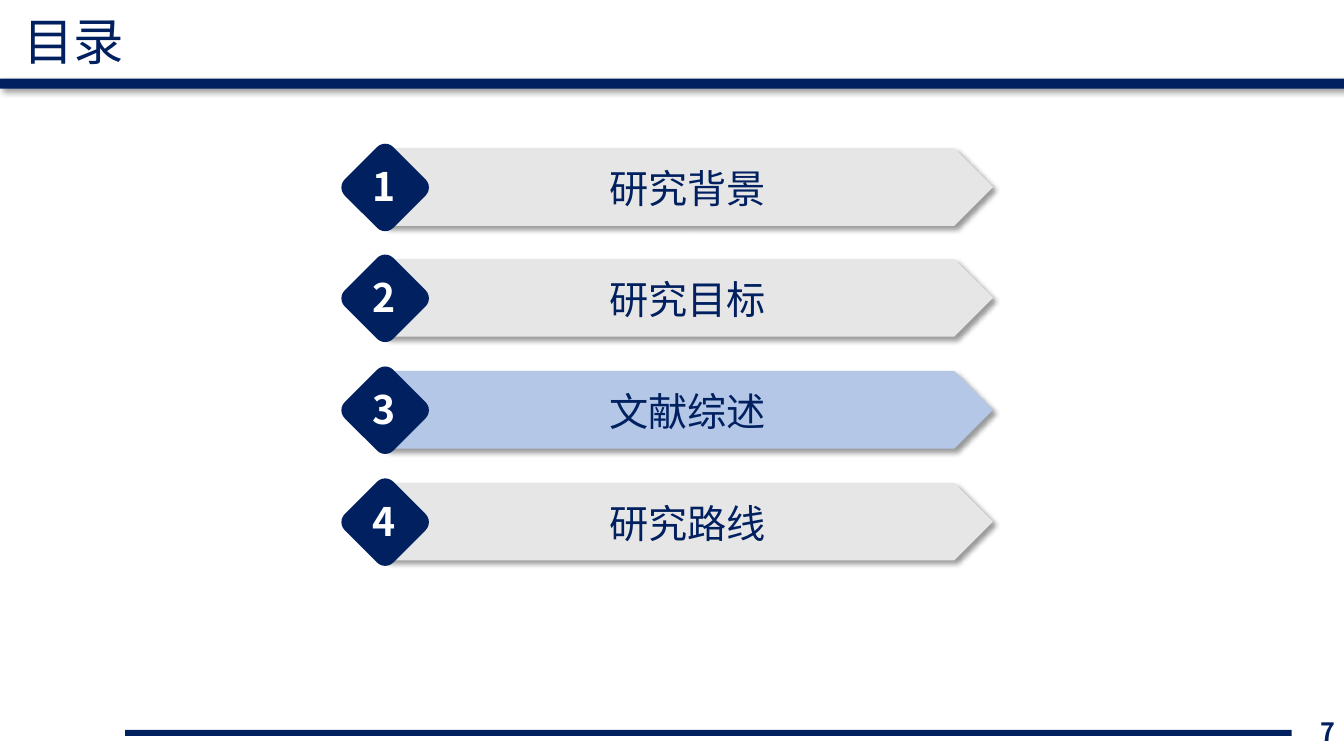
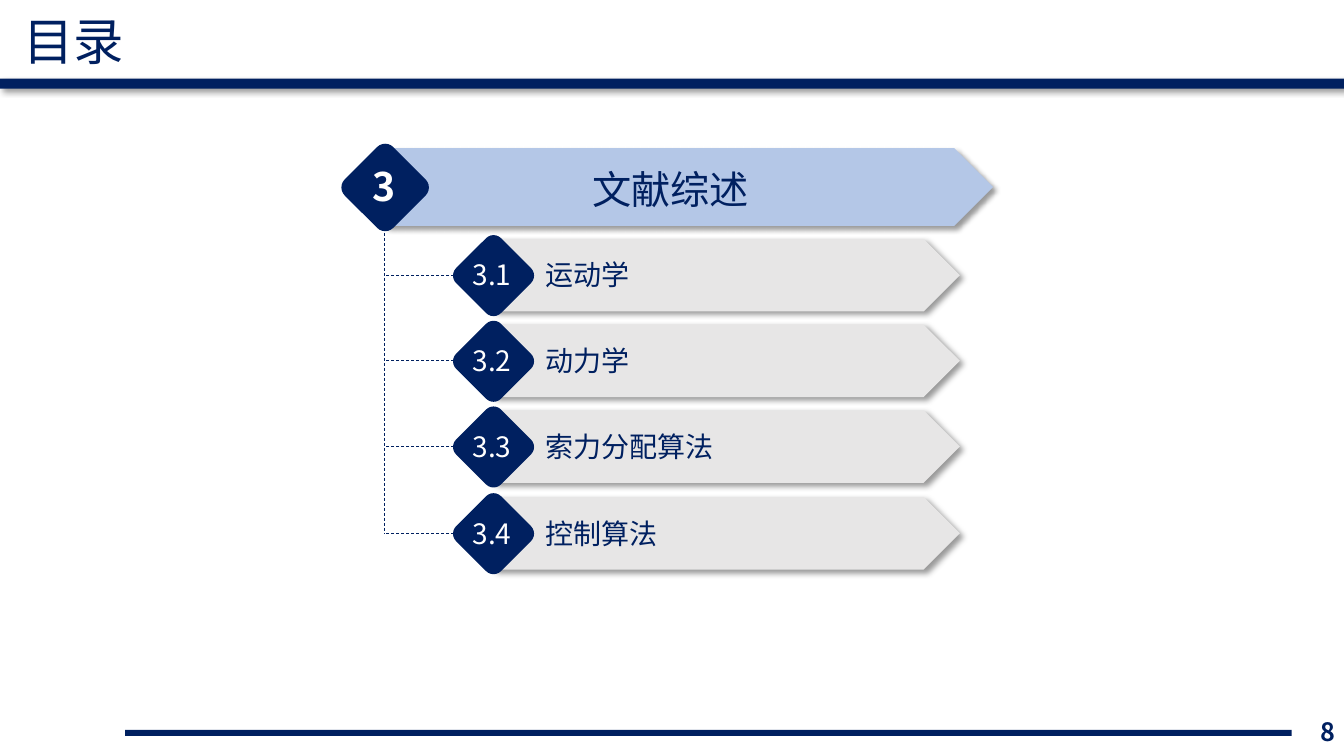
"""Build two contents slides: the chapter list and the sections of chapter 3."""
from dataclasses import dataclass
from typing import Optional

import pptx
import pptx.dml.color
import pptx.enum.dml
import pptx.enum.shapes
import pptx.enum.text
import pptx.oxml.ns
import pptx.util
from lxml import etree

RGBColor = pptx.dml.color.RGBColor
MSO_SHAPE = pptx.enum.shapes.MSO_SHAPE
PP_ALIGN = pptx.enum.text.PP_ALIGN
MSO_ANCHOR = pptx.enum.text.MSO_ANCHOR
qn = pptx.oxml.ns.qn

NAVY = RGBColor(0x00, 0x20, 0x60)
GREY = RGBColor(0xE7, 0xE6, 0xE6)
LIGHT_BLUE = RGBColor(0xB4, 0xC7, 0xE7)
WHITE = RGBColor(0xFF, 0xFF, 0xFF)
FONT = "Noto Sans CJK SC"
EMU_PER_PX = 9144
SLIDE_W, SLIDE_H = 1333, 750
SPINE_X = 381


@dataclass(frozen=True)
class Box:
    left: int
    top: int
    width: int
    height: int


@dataclass(frozen=True)
class RowStyle:
    arrow_left: int
    arrow_w: int
    arrow_h: int
    diamond_left: int
    diamond_size: int
    number_left: int
    number_w: int
    number_dy: int
    label_left: int
    label_w: int
    label_dy: int
    text_h: int
    size: int
    bold: bool
    align: PP_ALIGN


@dataclass(frozen=True)
class Row:
    number: str
    label: str
    fill: RGBColor = GREY


CHAPTER = RowStyle(382, 603, 77, 348, 68, 359, 44, 9, 439, 486, 11, 57, 28, True, PP_ALIGN.CENTER)
HEADER = RowStyle(382, 603, 77, 348, 68, 359, 44, 9, 439, 452, 12, 57, 28, True, PP_ALIGN.CENTER)
SECTION = RowStyle(490, 462, 72, 458, 63, 458, 60, 14, 531, 418, 14, 44, 20, False, PP_ALIGN.LEFT)

REVIEW = Row("3", "文献综述", LIGHT_BLUE)
CHAPTERS = [Row("1", "研究背景"), Row("2", "研究目标"), REVIEW, Row("4", "研究路线")]
SECTIONS = [Row("3.1", "运动学"), Row("3.2", "动力学"), Row("3.3", "索力分配算法"), Row("3.4", "控制算法")]
CHAPTER_TOPS = [147 + i * 332 // 3 for i in range(len(CHAPTERS))]
SECTION_TOPS = [237 + i * 256 // 3 for i in range(len(SECTIONS))]


def px(value: int) -> pptx.util.Emu:
    return pptx.util.Emu(value * EMU_PER_PX)


def emu(box: Box) -> tuple:
    return px(box.left), px(box.top), px(box.width), px(box.height)


def write(sp, text: str, size: int, color: RGBColor, bold: bool = False,
          align: PP_ALIGN = PP_ALIGN.LEFT, wrap: bool = True,
          anchor: MSO_ANCHOR = MSO_ANCHOR.TOP) -> None:
    tf = sp.text_frame
    tf.text = text
    tf.word_wrap = wrap
    tf.auto_size = pptx.enum.text.MSO_AUTO_SIZE.NONE
    tf.vertical_anchor = anchor
    p = tf.paragraphs[0]
    p.alignment = align
    r = p.runs[0]
    r.font.size = pptx.util.Pt(size)
    r.font.bold = bold
    r.font.color.rgb = color
    r.font.name = FONT
    etree.SubElement(r.font._element, qn("a:ea"), typeface=FONT)


def add_text(slide, box: Box, text: str, size: int, color: RGBColor, **options) -> None:
    write(slide.shapes.add_textbox(*emu(box)), text, size, color, **options)


def add_block(slide, kind: MSO_SHAPE, box: Box, fill: RGBColor, shadow: bool = False):
    sp = slide.shapes.add_shape(kind, *emu(box))
    sp.fill.solid()
    sp.fill.fore_color.rgb = fill
    sp.line.fill.background()
    sp.shadow.inherit = False
    if shadow:
        effects = sp.element.spPr.find(qn("a:effectLst"))
        outer = etree.SubElement(effects, qn("a:outerShdw"), blurRad="50800", dist="38100",
                                 dir="2700000", algn="tl", rotWithShape="0")
        color = etree.SubElement(outer, qn("a:srgbClr"), val="000000")
        etree.SubElement(color, qn("a:alpha"), val="40000")
    return sp


def add_dashed_line(slide, x1: int, y1: int, x2: int, y2: int):
    line = slide.shapes.add_connector(pptx.enum.shapes.MSO_CONNECTOR.STRAIGHT,
                                      px(x1), px(y1), px(x2), px(y2))
    line.line.color.rgb = NAVY
    line.line.width = pptx.util.Pt(0.5)
    line.line.dash_style = pptx.enum.dml.MSO_LINE.DASH
    etree.SubElement(line.element.spPr, qn("a:effectLst"))
    return line


def add_row(slide, row: Row, top: int, style: RowStyle, spine_x: Optional[int] = None) -> None:
    arrow = add_block(slide, MSO_SHAPE.PENTAGON,
                      Box(style.arrow_left, top, style.arrow_w, style.arrow_h), row.fill, shadow=True)
    if spine_x is not None:
        middle = top + style.arrow_h // 2
        branch = add_dashed_line(slide, style.arrow_left, middle, spine_x, middle)
        branch.begin_connect(arrow, 1)
    diamond_top = top + (style.arrow_h - style.diamond_size + 1) // 2
    diamond = add_block(slide, MSO_SHAPE.ROUNDED_RECTANGLE,
                        Box(style.diamond_left, diamond_top, style.diamond_size, style.diamond_size), NAVY)
    diamond.rotation = 45
    add_text(slide, Box(style.number_left, top + style.number_dy, style.number_w, style.text_h),
             row.number, style.size, WHITE, bold=style.bold, align=PP_ALIGN.CENTER, wrap=False)
    add_text(slide, Box(style.label_left, top + style.label_dy, style.label_w, style.text_h),
             row.label, style.size, NAVY, align=style.align)


def add_contents_slide(prs, page: int):
    slide = prs.slides.add_slide(prs.slide_layouts[5])
    title = slide.shapes.title
    title.left, title.top, title.width, title.height = emu(Box(13, 5, 121, 71))
    write(title, "目录", 36, NAVY, wrap=False)
    add_block(slide, MSO_SHAPE.RECTANGLE, Box(0, 78, SLIDE_W, 10), NAVY, shadow=True)
    add_block(slide, MSO_SHAPE.RECTANGLE, Box(124, 724, 1157, 6), NAVY)
    add_text(slide, Box(1264, 706, 70, 40), str(page), 18, NAVY, bold=True,
             align=PP_ALIGN.RIGHT, anchor=MSO_ANCHOR.MIDDLE)
    return slide


def main() -> None:
    prs = pptx.Presentation()
    prs.slide_width, prs.slide_height = px(SLIDE_W), px(SLIDE_H)

    slide = add_contents_slide(prs, 7)
    for row, top in zip(CHAPTERS, CHAPTER_TOPS):
        add_row(slide, row, top, CHAPTER)

    slide = add_contents_slide(prs, 8)
    add_dashed_line(slide, SPINE_X, 231, SPINE_X, SECTION_TOPS[-1] + SECTION.arrow_h // 2)
    add_row(slide, REVIEW, CHAPTER_TOPS[0], HEADER)
    for row, top in zip(SECTIONS, SECTION_TOPS):
        add_row(slide, row, top, SECTION, SPINE_X)

    prs.save("out.pptx")


if __name__ == "__main__":
    main()
